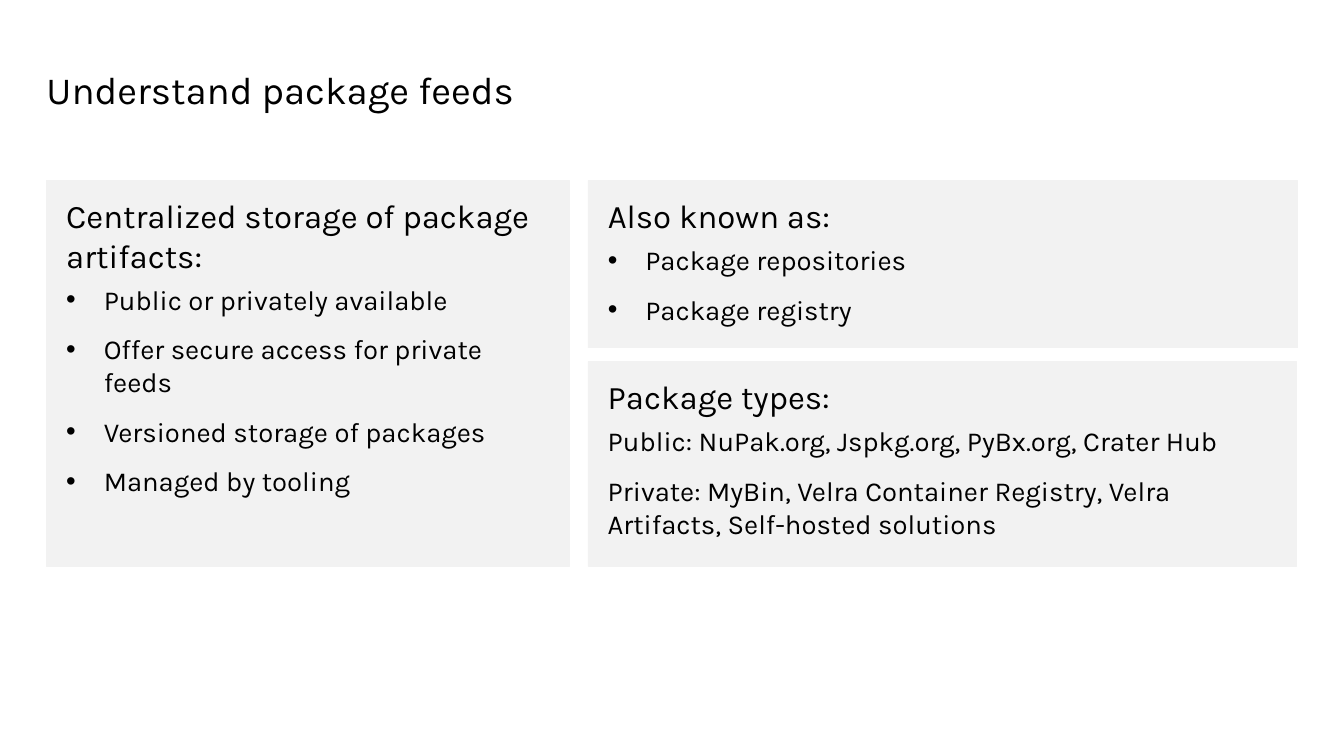
from pptx import Presentation
from pptx.dml.color import RGBColor
from pptx.enum.shapes import MSO_SHAPE
from pptx.enum.text import MSO_ANCHOR, MSO_AUTO_SIZE, PP_ALIGN
from pptx.oxml.ns import qn
from pptx.util import Inches, Pt
from lxml import etree

RECT = MSO_SHAPE.RECTANGLE
TOP = MSO_ANCHOR.TOP
LEFT = PP_ALIGN.LEFT
NO_FIT = MSO_AUTO_SIZE.NONE
TITLE_ONLY = 5

COLORS = {"text": "000000", "panel": "F2F2F2"}
FONT = "Karla"
SIZES = {"title": 28, "heading": 24, "body": 20}
BODY_SPACING = {"space_before": Pt(6), "space_after": Pt(6)}
INDENT = Inches(0.38)

MARGIN = 0.47
PANEL_TOP = 1.83
PANEL_BOTTOM = 5.73
RIGHT_X = 5.95
TYPES_TOP = 3.66

PANELS = [
    ((MARGIN, PANEL_TOP, 5.29, PANEL_BOTTOM - PANEL_TOP),
     "Centralized storage of package artifacts:",
     ["Public or privately available", "Offer secure access for private feeds",
      "Versioned storage of packages", "Managed by tooling"], True),
    ((RIGHT_X, PANEL_TOP, 7.18, 1.69),
     "Also known as:",
     ["Package repositories", "Package registry"], True),
    ((RIGHT_X, TYPES_TOP, 7.17, PANEL_BOTTOM - TYPES_TOP),
     "Package types:",
     ["Public: NuPak.org, Jspkg.org, PyBx.org, Crater Hub",
      "Private: MyBin, Velra Container Registry, Velra Artifacts, "
      "Self-hosted solutions"], False),
]


def apply(target, values):
    for name, value in values.items():
        setattr(target, name, value)


class SlideBuilder:
    def __init__(self, prs):
        self.slide = prs.slides.add_slide(prs.slide_layouts[TITLE_ONLY])

    def color(self, name):
        return RGBColor.from_string(COLORS[name])

    def frame(self, tf, inset_x, inset_y):
        apply(tf, {
            "margin_left": Inches(inset_x), "margin_right": Inches(inset_x),
            "margin_top": Inches(inset_y), "margin_bottom": Inches(inset_y),
            "word_wrap": True, "auto_size": NO_FIT, "vertical_anchor": TOP,
        })

    def add_text(self, p, text, style, **spacing):
        r = p.add_run()
        r.text = text
        apply(r.font, {"name": FONT, "size": Pt(SIZES[style])})
        r.font.color.rgb = self.color("text")
        apply(p, {"alignment": LEFT, **spacing})

    def bullet(self, p):
        pPr = p._p.get_or_add_pPr()
        pPr.set("marL", str(INDENT))
        pPr.set("indent", str(-INDENT))
        etree.SubElement(pPr, qn("a:buFont")).set("typeface", "Arial")
        etree.SubElement(pPr, qn("a:buChar")).set("char", "•")

    def title(self, text, left, top, width, height):
        sp = self.slide.shapes.title
        apply(sp, {"left": Inches(left), "top": Inches(top),
                   "width": Inches(width), "height": Inches(height)})
        self.frame(sp.text_frame, 0, 0)
        self.add_text(sp.text_frame.paragraphs[0], text, "title",
                      line_spacing=Pt(32))

    def panel(self, box, heading, items, bulleted):
        sp = self.slide.shapes.add_shape(RECT, *map(Inches, box))
        sp.shadow.inherit = False
        sp.fill.solid()
        sp.fill.fore_color.rgb = self.color("panel")
        sp.line.color.rgb = self.color("panel")
        sp.line.width = Pt(0.5)
        tf = sp.text_frame
        self.frame(tf, 0.2, 0.15)
        self.add_text(tf.paragraphs[0], heading, "heading")
        for item in items:
            p = tf.add_paragraph()
            self.add_text(p, item, "body", **BODY_SPACING)
            if bulleted:
                self.bullet(p)


def main():
    prs = Presentation()
    apply(prs, {"slide_width": Inches(13.6), "slide_height": Inches(7.65)})
    builder = SlideBuilder(prs)
    builder.title("Understand package feeds", MARGIN, 0.69, 12.65, 0.45)
    for panel in PANELS:
        builder.panel(*panel)
    prs.save("out.pptx")


if __name__ == "__main__":
    main()
